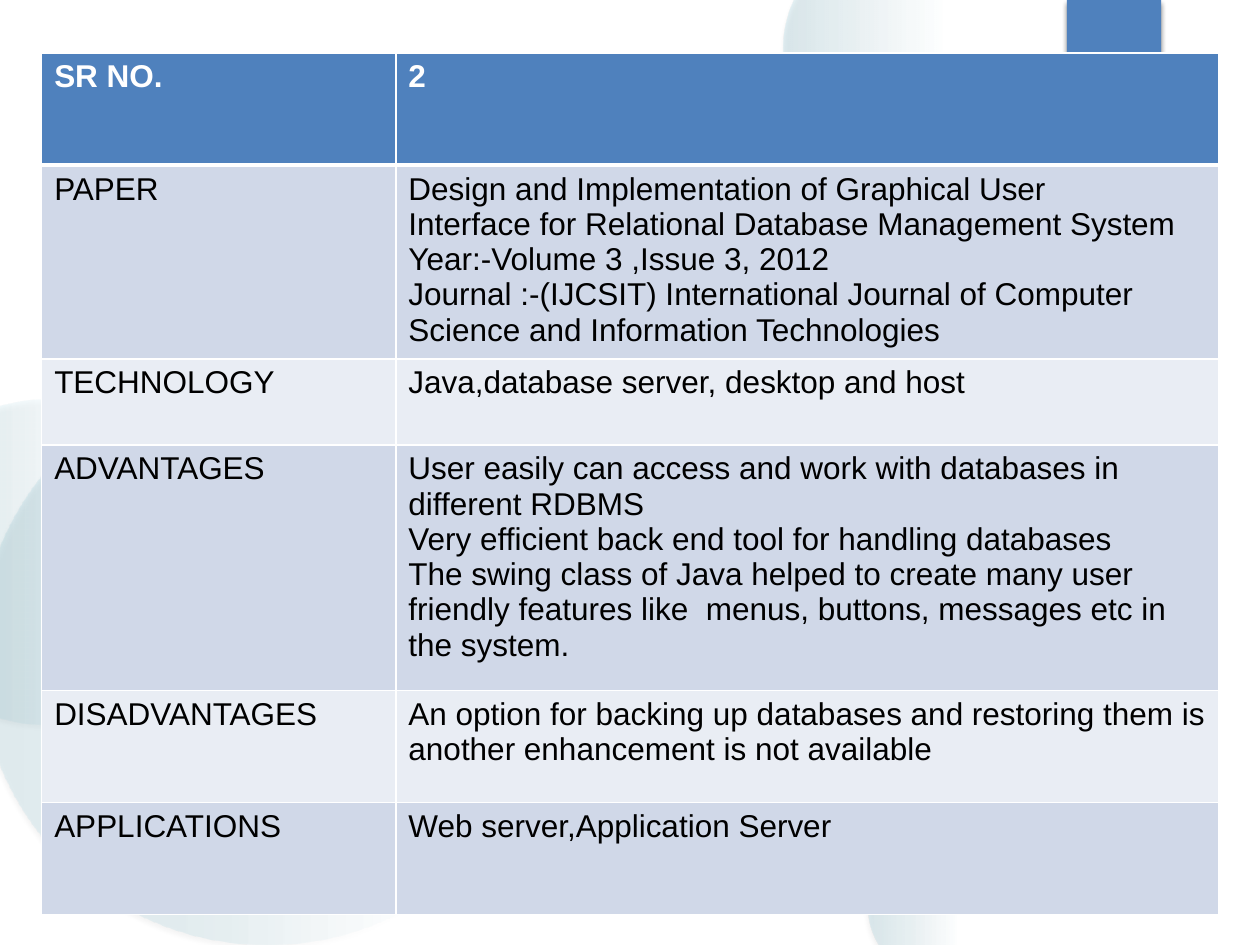
"""Build a literature survey slide with one paper summary table."""
import lxml.etree
import pptx
import pptx.dml.color
import pptx.enum.shapes
import pptx.oxml.ns
import pptx.util

COLORS = {
    "accent": "4F81BD", "aqua": "4BACC6", "odd": "D0D8E8",
    "even": "E9EDF4", "white": "FFFFFF", "black": "000000",
}
FONT = "Arial"
TEXT_SIZE = 18
ROWS = [
    (2.26, "SR NO.", ["2"]),
    (3.91, "PAPER", [
        "Design and Implementation of Graphical User",
        "Interface for Relational Database Management System",
        "Year:-Volume 3 ,Issue 3, 2012",
        "Journal :-(IJCSIT) International Journal of Computer Science and Information Technologies",
    ]),
    (1.73, "TECHNOLOGY", ["Java,database server, desktop and host"]),
    (4.95, "ADVANTAGES", [
        "User easily can access and work with databases in different RDBMS",
        "Very efficient back end tool for handling databases",
        "The swing class of Java helped to create many user friendly features like  menus, "
        "buttons, messages etc in the system.",
    ]),
    (2.26, "DISADVANTAGES", [
        "An option for backing up databases and restoring them is another enhancement is not available",
    ]),
    (2.26, "APPLICATIONS", ["Web server,Application Server"]),
]
COLUMN_WIDTHS = [7.14, 16.59]
TABLE_LEFT, TABLE_TOP = 0.84, 1.07
CIRCLES = [
    (17.5, 4.65, 7.82, [(0, 7), (36, 6), (69, 0)]),
    (15.8, -1.27, 4.45, [(0, 14), (36, 7), (73, 0)]),
    (17.5, 16.94, 2.74, [(0, 14), (36, 7), (66, 0)]),
    (-0.43, 7.42, 11.63, [(0, 11), (36, 10), (75, 0)]),
    (-2.34, 8.05, 6.55, [(0, 8), (36, 8), (72, 0)]),
]
TAB = (21.51, 0, 1.9, 3.05)


def rgb(name):
    """Return a named colour."""
    return pptx.dml.color.RGBColor.from_string(COLORS[name])


def add_child(parent, tag, **attributes):
    """Append a drawing element to its parent."""
    values = {key: str(value) for key, value in attributes.items()}
    return lxml.etree.SubElement(parent, pptx.oxml.ns.qn(tag), values)


def add_color(parent, name, opacity=100):
    """Append a colour with an opacity in percent."""
    color = add_child(parent, "a:srgbClr", val=COLORS[name])
    if opacity < 100:
        add_child(color, "a:alpha", val=opacity * 1000)


def add_shadowed_shape(page, kind, place):
    """Add a shape without outline that casts a soft shadow downwards."""
    shape = page.shapes.add_shape(kind, *(pptx.util.Cm(length) for length in place))
    shape.line.fill.background()
    shape.shadow.inherit = False
    effects = shape.element.spPr.find(pptx.oxml.ns.qn("a:effectLst"))
    shadow = add_child(effects, "a:outerShdw", blurRad=pptx.util.Pt(3),
                       dist=pptx.util.Pt(2), dir=90 * 60000, rotWithShape=0)
    add_color(shadow, "black", 45)
    return shape


def add_circle(page, left, top, size, stops):
    """Add a circle that fades out from left to right."""
    circle = add_shadowed_shape(page, pptx.enum.shapes.MSO_SHAPE.OVAL, (left, top, size, size))
    circle.fill.gradient()
    circle.fill.gradient_angle = 0
    stop_list = circle.element.spPr.find(".//" + pptx.oxml.ns.qn("a:gsLst"))
    for stop in list(stop_list):
        stop_list.remove(stop)
    for position, opacity in stops:
        add_color(add_child(stop_list, "a:gs", pos=position * 1000), "aqua", opacity)


def style_cell(cell, row_index):
    """Give a cell its white borders and banded fill."""
    properties = cell._tc.get_or_add_tcPr()
    widths = {"L": 1, "R": 1, "T": 3 if row_index == 1 else 1, "B": 3 if row_index == 0 else 1}
    for side, width in widths.items():
        border = add_child(properties, "a:ln" + side, w=pptx.util.Pt(width))
        add_color(add_child(border, "a:solidFill"), "white")
    cell.fill.solid()
    band = "odd" if row_index % 2 else "even"
    cell.fill.fore_color.rgb = rgb(band if row_index else "accent")


def write_cell(cell, lines, is_header):
    """Write one paragraph for each line."""
    for index, line in enumerate(lines):
        para = cell.text_frame.add_paragraph() if index else cell.text_frame.paragraphs[0]
        span = para.add_run()
        span.text = line
        span.font.name = FONT
        span.font.size = pptx.util.Pt(TEXT_SIZE)
        span.font.bold = is_header
        span.font.color.rgb = rgb("white" if is_header else "black")


def add_summary(page):
    """Add the table of the paper's details."""
    height = sum(row[0] for row in ROWS)
    place = (TABLE_LEFT, TABLE_TOP, sum(COLUMN_WIDTHS), height)
    table = page.shapes.add_table(
        len(ROWS), len(COLUMN_WIDTHS), *(pptx.util.Cm(length) for length in place)).table
    for column, width in zip(table.columns, COLUMN_WIDTHS):
        column.width = pptx.util.Cm(width)
    for row_index, (row_height, label, details) in enumerate(ROWS):
        table.rows[row_index].height = pptx.util.Cm(row_height)
        for cell, lines in zip(table.rows[row_index].cells, ([label], details)):
            style_cell(cell, row_index)
            write_cell(cell, lines, row_index == 0)


def main():
    """Build and save the deck."""
    deck = pptx.Presentation()
    deck.slide_width, deck.slide_height = pptx.util.Cm(25.4), pptx.util.Cm(19.05)
    page = deck.slides.add_slide(deck.slide_layouts[6])
    for circle in CIRCLES:
        add_circle(page, *circle)
    tab = add_shadowed_shape(page, pptx.enum.shapes.MSO_SHAPE.RECTANGLE, TAB)
    tab.fill.solid()
    tab.fill.fore_color.rgb = rgb("accent")
    add_summary(page)
    deck.save("out.pptx")


if __name__ == "__main__":
    main()
